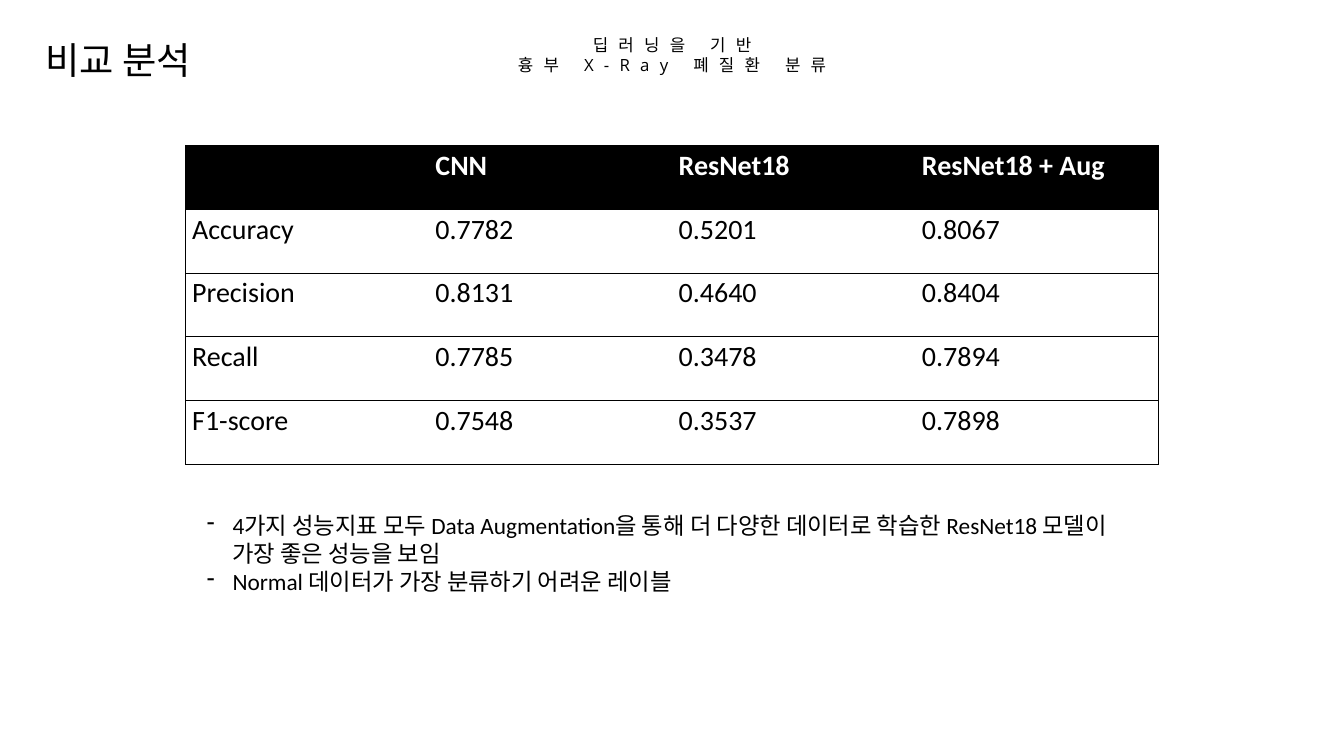
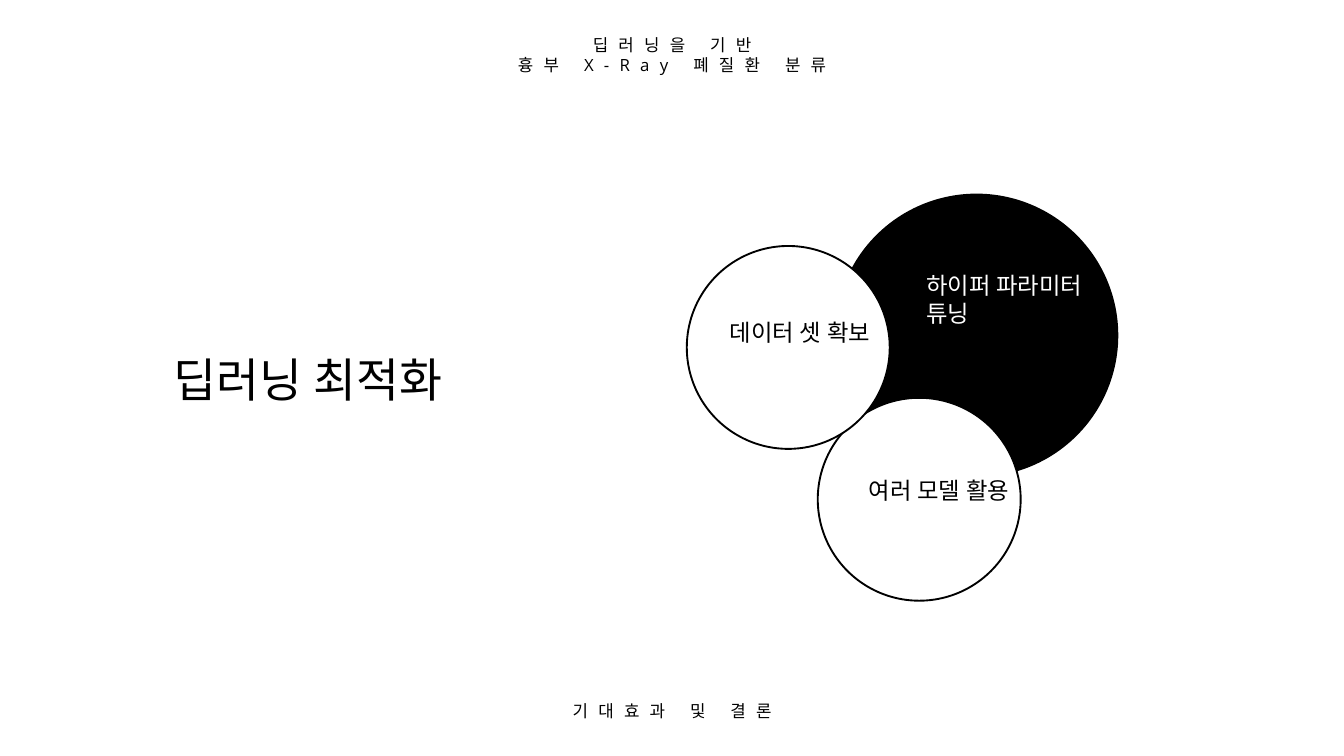
from lxml import etree
from pptx import Presentation
from pptx.dml.color import RGBColor
from pptx.enum.shapes import MSO_SHAPE
from pptx.enum.text import MSO_ANCHOR, PP_ALIGN
from pptx.oxml.ns import qn
from pptx.util import Cm, Pt

OVAL = MSO_SHAPE.OVAL
TOP = MSO_ANCHOR.TOP
MIDDLE = MSO_ANCHOR.MIDDLE
LEFT = PP_ALIGN.LEFT
CENTER = PP_ALIGN.CENTER

COLORS = {"ink": "000000", "paper": "FFFFFF"}
BODY, BAND, LABEL = "Calibri", "Open Sans", "Lato"
SLIDE_SIZE = (50.8, 28.58)

PROJECT = ["딥러닝을 기반", "흉부 X-Ray 폐질환 분류"]
SECTION = ["기대효과 및 결론"]
BAND_LEFT, BAND_WIDTH = 3.89, 43.03

COMPARISON_TITLE = ["비교 분석"]
SCORES = [
    ("", "CNN", "ResNet18", "ResNet18 + Aug"),
    ("Accuracy", "0.7782", "0.5201", "0.8067"),
    ("Precision", "0.8131", "0.4640", "0.8404"),
    ("Recall", "0.7785", "0.3478", "0.7894"),
    ("F1-score", "0.7548", "0.3537", "0.7898"),
]
SCORES_BOX = (7.01, 5.49, 36.78, 12.07)
FINDINGS = [
    "4가지 성능지표 모두 Data Augmentation을 통해 더 다양한 데이터로 학습한 ResNet18 모델이 가장 좋은 성능을 보임",
    "Normal 데이터가 가장 분류하기 어려운 레이블",
]

OPTIMIZATION_TITLE = ["딥러닝 최적화"]
# (left, top, diameter), fill, label colour, label box, label lines
METHODS = [
    ((31.55, 7.32, 10.72), "ink", "paper", (34.77, 10.13, 7.19, 2.39), ["하이퍼 파라미터", "튜닝"]),
    ((30.91, 15.04, 7.67), "paper", "ink", (32.59, 17.88, 5.92, 2.39), ["여러 모델 활용"]),
    ((25.96, 9.3, 7.67), "paper", "ink", (27.33, 11.89, 5.87, 2.39), ["데이터 셋 확보"]),
]


def rgb(color):
    return RGBColor.from_string(COLORS[color])


def add_run(paragraph, text, size, font, color="ink", bold=False, tracking=0):
    run = paragraph.add_run()
    run.text = text
    run.font.size = Pt(size)
    run.font.name = font
    run.font.bold = bold
    run.font.color.rgb = rgb(color)
    properties = run.font._element
    etree.SubElement(properties, qn("a:ea"), typeface=font)
    if tracking:
        properties.set("spc", str(tracking * 100))


def add_text(slide, box, lines, size, font, color="ink", align=LEFT, anchor=TOP,
             tracking=0, spacing=None, dashed=False):
    frame = slide.shapes.add_textbox(*map(Cm, box)).text_frame
    frame.word_wrap = True
    frame.vertical_anchor = anchor
    for index, line in enumerate(lines):
        paragraph = frame.add_paragraph() if index else frame.paragraphs[0]
        paragraph.alignment = align
        if spacing:
            paragraph.line_spacing = Pt(spacing)
        if dashed:
            properties = paragraph._p.get_or_add_pPr()
            properties.set("marL", str(Cm(0.97)))
            properties.set("indent", str(-Cm(0.97)))
            etree.SubElement(properties, qn("a:buChar"), char="-")
        add_run(paragraph, line, size, font, color, tracking=tracking)
    return frame


def add_band(slide, top, height, lines, anchor):
    frame = add_text(slide, (BAND_LEFT, top, BAND_WIDTH, height), lines, 18, BAND,
                     align=CENTER, anchor=anchor, tracking=11, spacing=21.5)
    frame.margin_left = frame.margin_right = 0
    frame.margin_top = frame.margin_bottom = 0


def new_slide(deck):
    slide = deck.slides.add_slide(deck.slide_layouts[6])
    slide.background.fill.solid()
    slide.background.fill.fore_color.rgb = rgb("paper")
    add_band(slide, 1.32, 2.4, PROJECT, TOP)
    return slide


def set_borders(cell, ruled):
    properties = cell._tc.get_or_add_tcPr()
    for index, side in enumerate("LRTB"):
        line = etree.Element(qn(f"a:ln{side}"), w=str(Pt(0.75)))
        if side in ruled:
            fill = etree.SubElement(line, qn("a:solidFill"))
            etree.SubElement(fill, qn("a:srgbClr"), val=COLORS["ink"])
        else:
            etree.SubElement(line, qn("a:noFill"))
        properties.insert(index, line)


def add_scores(slide):
    rows, columns = len(SCORES), len(SCORES[0])
    table = slide.shapes.add_table(rows, columns, *map(Cm, SCORES_BOX)).table
    table.horz_banding = False
    for r, record in enumerate(SCORES):
        heading = r == 0
        for c, value in enumerate(record):
            cell = table.cell(r, c)
            cell.fill.solid()
            cell.fill.fore_color.rgb = rgb("ink" if heading else "paper")
            set_borders(cell, "TB" + "L" * (c == 0) + "R" * (c == columns - 1))
            if value:
                add_run(cell.text_frame.paragraphs[0], value, 30, BODY,
                        "paper" if heading else "ink", bold=heading)


def add_circle(slide, place, fill):
    left, top, diameter = map(Cm, place)
    circle = slide.shapes.add_shape(OVAL, left, top, diameter, diameter)
    circle.shadow.inherit = False
    circle.fill.solid()
    circle.fill.fore_color.rgb = rgb(fill)
    if fill == "ink":
        circle.line.fill.background()
    else:
        circle.line.color.rgb = rgb("ink")
        circle.line.width = Pt(2)


def build_comparison(deck):
    slide = new_slide(deck)
    add_text(slide, (1.47, 1.3, 17.78, 1.96), COMPARISON_TITLE, 40, BODY)
    add_scores(slide)
    add_text(slide, (7.57, 19.2, 36.27, 3.45), FINDINGS, 25, BODY, dashed=True)


def build_optimization(deck):
    slide = new_slide(deck)
    add_band(slide, 26.37, 1.02, SECTION, MIDDLE)
    for place, fill, *_ in METHODS:
        add_circle(slide, place, fill)
    for _, _, color, box, lines in METHODS:
        add_text(slide, box, lines, 25, LABEL, color)
    add_text(slide, (6.32, 13.13, 13.54, 2.39), OPTIMIZATION_TITLE, 50, BODY)


def main():
    deck = Presentation()
    deck.slide_width, deck.slide_height = map(Cm, SLIDE_SIZE)
    build_comparison(deck)
    build_optimization(deck)
    deck.save("out.pptx")


if __name__ == "__main__":
    main()
